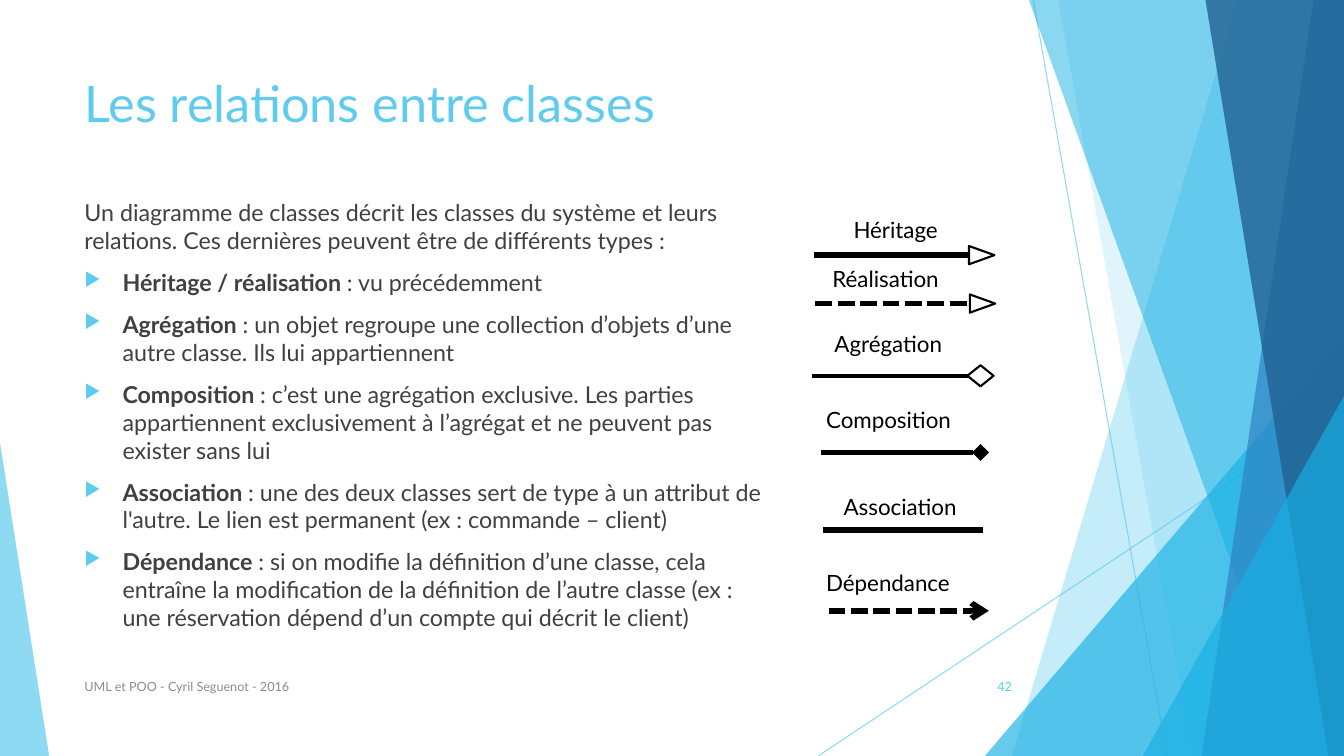
from dataclasses import dataclass
from typing import Any, Optional

from lxml import etree
from pptx import Presentation
from pptx import util as u
from pptx.dml.color import RGBColor
from pptx.enum import dml, shapes, text
from pptx.oxml import ns


@dataclass(frozen=True)
class Theme:
    font: str = "Lato"
    sky: str = "5FCBEF"
    cyan: str = "17B0E4"
    blue: str = "2E83C3"
    navy: str = "226292"
    body: str = "404040"
    muted: str = "8C8C8C"
    black: str = "000000"
    white: str = "FFFFFF"
    title_size: float = 36
    body_size: float = 16.6
    label_size: float = 16
    footer_size: float = 9


@dataclass(frozen=True)
class Band:
    """Facet reaching the right edge, given by its left side."""
    top_x: float
    bottom_x: float
    color: str
    alpha: int


@dataclass(frozen=True)
class Wedge:
    """Triangle standing on the bottom edge, apex at one side."""
    left: float
    top: float
    width: float
    apex: int
    color: str
    alpha: int


@dataclass(frozen=True)
class Tip:
    preset: shapes.MSO_SHAPE
    width: float
    height: float
    offset: float
    rotation: int = 0


@dataclass(frozen=True)
class Relation:
    name: str
    label_left: float
    label_top: float
    label_width: float
    start: float
    end: float
    y: float
    weight: float = 4
    dashed: bool = False
    arrowhead: Optional[str] = None
    tip: Optional[Tip] = None


THEME = Theme()
WIDTH, HEIGHT = 33.87, 19.05

FACETS = [
    Band(31.19, 25.5, THEME.sky, 36),
    Band(26.67, 30.05, THEME.sky, 20),
    Wedge(24.82, 8.46, 9.05, 1, THEME.cyan, 66),
    Band(25.93, 32.79, THEME.cyan, 50),
    Band(33.1, 30.28, THEME.blue, 70),
    Band(30.38, 33.48, THEME.navy, 80),
    Wedge(28.8, 9.98, 5.07, 1, THEME.cyan, 66),
    Wedge(0, 11.15, 1.24, 0, THEME.sky, 70),
]

INTRO = ("Un diagramme de classes décrit les classes du système et leurs relations. "
         "Ces dernières peuvent être de différents types :")
DEFINITIONS = [
    ("Héritage / réalisation", " : vu précédemment"),
    ("Agrégation", " : un objet regroupe une collection d’objets d’une autre classe. "
                   "Ils lui appartiennent"),
    ("Composition", " : c’est une agrégation exclusive. Les parties appartiennent "
                    "exclusivement à l’agrégat et ne peuvent pas exister sans lui"),
    ("Association", " : une des deux classes sert de type à un attribut de l'autre. "
                    "Le lien est permanent (ex : commande – client)"),
    ("Dépendance", " : si on modifie la définition d’une classe, cela entraîne la "
                   "modification de la définition de l’autre classe (ex : une "
                   "réservation dépend d’un compte qui décrit le client)"),
]

HOLLOW_TRIANGLE = Tip(shapes.MSO_SHAPE.ISOSCELES_TRIANGLE, 0.46, 0.64, 0.33, 90)
HOLLOW_DIAMOND = Tip(shapes.MSO_SHAPE.DIAMOND, 0.66, 0.53, 0.2)
RELATIONS = [
    Relation("Héritage", 21.26, 5.33, 2.72, 20.52, 24.41, 6.43, tip=HOLLOW_TRIANGLE),
    Relation("Réalisation", 20.73, 6.55, 3.33, 20.55, 24.43, 7.65, dashed=True,
             tip=HOLLOW_TRIANGLE),
    Relation("Agrégation", 20.78, 8.2, 3.28, 20.47, 24.51, 9.47, weight=2.75,
             tip=HOLLOW_DIAMOND),
    Relation("Composition", 20.57, 10.11, 3.66, 20.68, 24.71, 11.4, arrowhead="diamond"),
    Relation("Association", 21.01, 12.29, 3.38, 20.73, 24.77, 13.36),
    Relation("Dépendance", 20.57, 14.22, 3.63, 20.88, 24.92, 15.39, dashed=True,
             arrowhead="arrow"),
]


def rgb(color: str) -> RGBColor:
    return RGBColor.from_string(color)


def set_alpha(fill_parent: Any, percent: int) -> None:
    color = fill_parent.find(ns.qn("a:solidFill"))[0]
    etree.SubElement(color, ns.qn("a:alpha"), val=str(percent * 1000))


def style_run(run: Any, size: float, color: str, bold: bool = False) -> None:
    run.font.name, run.font.size, run.font.bold = THEME.font, u.Pt(size), bold
    run.font.color.rgb = rgb(color)


def add_text(slide: Any, content: str, left: float, top: float, width: float,
             height: float, size: float, color: str, wrap: bool = True,
             anchor: Any = text.MSO_ANCHOR.TOP, align: Any = text.PP_ALIGN.LEFT) -> Any:
    box = slide.shapes.add_textbox(u.Cm(left), u.Cm(top), u.Cm(width), u.Cm(height))
    frame = box.text_frame
    frame.text = content
    frame.word_wrap = wrap
    frame.vertical_anchor = anchor
    frame.paragraphs[0].alignment = align
    style_run(frame.paragraphs[0].runs[0], size, color)
    return frame


def add_line(slide: Any, x1: float, y1: float, x2: float, y2: float, color: str,
             weight: float) -> Any:
    line = slide.shapes.add_connector(shapes.MSO_CONNECTOR.STRAIGHT,
                                      u.Cm(x1), u.Cm(y1), u.Cm(x2), u.Cm(y2))
    line.line.color.rgb = rgb(color)
    line.line.width = u.Pt(weight)
    etree.SubElement(line.element.spPr, ns.qn("a:effectLst"))
    return line


def add_facet(slide: Any, facet: Band | Wedge) -> None:
    if isinstance(facet, Band):
        outline = slide.shapes.build_freeform(u.Cm(facet.top_x), 0)
        outline.add_line_segments([(u.Cm(WIDTH), 0), (u.Cm(WIDTH), u.Cm(HEIGHT)),
                                   (u.Cm(facet.bottom_x), u.Cm(HEIGHT))])
        shape = outline.convert_to_shape()
    else:
        shape = slide.shapes.add_shape(
            shapes.MSO_SHAPE.ISOSCELES_TRIANGLE, u.Cm(facet.left), u.Cm(facet.top),
            u.Cm(facet.width), u.Cm(HEIGHT - facet.top))
        shape.adjustments[0] = facet.apex
    shape.shadow.inherit = False
    shape.fill.solid()
    shape.fill.fore_color.rgb = rgb(facet.color)
    shape.line.fill.background()
    set_alpha(shape.element.spPr, facet.alpha)


def add_definition(frame: Any, term: str, meaning: str) -> None:
    paragraph = frame.add_paragraph()
    paragraph.space_before = u.Pt(10)
    for words, bold in ((term, True), (meaning, False)):
        run = paragraph.add_run()
        run.text = words
        style_run(run, THEME.body_size, THEME.body, bold)
    props = paragraph._p.get_or_add_pPr()
    indent = u.Cm(0.96)
    props.set("marL", str(indent))
    props.set("indent", str(-indent))
    bullet_color = etree.SubElement(props, ns.qn("a:buClr"))
    etree.SubElement(bullet_color, ns.qn("a:srgbClr"), val=THEME.sky)
    etree.SubElement(props, ns.qn("a:buSzPct"), val="80000")
    etree.SubElement(props, ns.qn("a:buChar"), char="▶")


def add_relation(slide: Any, relation: Relation) -> None:
    label = add_text(slide, relation.name, relation.label_left, relation.label_top,
                     relation.label_width, 0.94, THEME.label_size, THEME.black, wrap=False)
    label.auto_size = text.MSO_AUTO_SIZE.SHAPE_TO_FIT_TEXT
    link = add_line(slide, relation.start, relation.y, relation.end, relation.y,
                    THEME.black, relation.weight)
    if relation.dashed:
        link.line.dash_style = dml.MSO_LINE.SQUARE_DOT
    if relation.arrowhead:
        stroke = link.element.spPr.find(ns.qn("a:ln"))
        etree.SubElement(stroke, ns.qn("a:tailEnd"), type=relation.arrowhead)
    if relation.tip:
        tip = relation.tip
        end = slide.shapes.add_shape(
            tip.preset, u.Cm(relation.end + tip.offset - tip.width / 2),
            u.Cm(relation.y - tip.height / 2), u.Cm(tip.width), u.Cm(tip.height))
        end.rotation = tip.rotation
        end.shadow.inherit = False
        end.fill.solid()
        end.fill.fore_color.rgb = rgb(THEME.white)
        end.line.color.rgb = rgb(THEME.black)
        end.line.width = u.Pt(1.5)


def main() -> None:
    deck = Presentation()
    deck.slide_width, deck.slide_height = u.Cm(WIDTH), u.Cm(HEIGHT)
    slide = deck.slides.add_slide(deck.slide_layouts[6])

    # Faceted background
    for ends in ((26.04, 0, 29.41, HEIGHT), (WIDTH, 10.24, 20.62, HEIGHT)):
        ray = add_line(slide, *ends, THEME.sky, 0.75)
        set_alpha(ray.element.spPr.find(ns.qn("a:ln")), 70)
    for facet in FACETS:
        add_facet(slide, facet)

    # Title and definitions
    add_text(slide, "Les relations entre classes", 1.88, 1.7, 23.88, 3.66,
             THEME.title_size, THEME.sky)
    body = add_text(slide, INTRO, 1.88, 4.88, 17.81, 12.5, THEME.body_size, THEME.body)
    body.paragraphs[0].space_before = u.Pt(10)
    for term, meaning in DEFINITIONS:
        add_definition(body, term, meaning)

    # Notation of each relation
    for relation in RELATIONS:
        add_relation(slide, relation)

    # Footer and slide number
    add_text(slide, "UML et POO - Cyril Seguenot - 2016", 1.88, 16.79, 17.5, 1.02,
             THEME.footer_size, THEME.muted, anchor=text.MSO_ANCHOR.MIDDLE)
    add_text(slide, "42", 23.85, 16.79, 1.9, 1.02, THEME.footer_size, THEME.sky,
             anchor=text.MSO_ANCHOR.MIDDLE, align=text.PP_ALIGN.RIGHT)

    deck.save("out.pptx")


if __name__ == "__main__":
    main()
